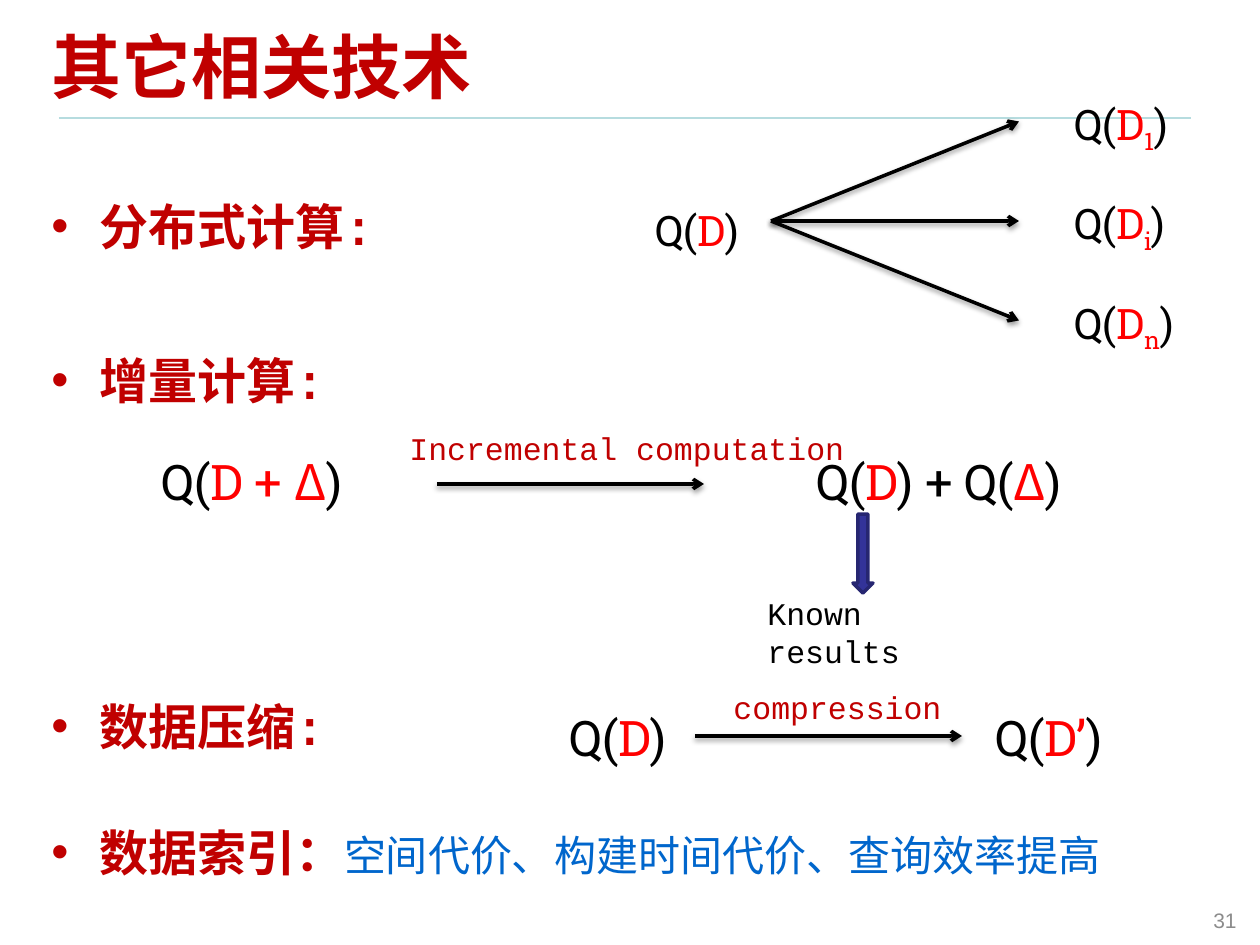
from lxml import etree
from pptx import Presentation
from pptx.dml.color import RGBColor
from pptx.enum.shapes import MSO_CONNECTOR, MSO_SHAPE
from pptx.enum.text import MSO_ANCHOR, MSO_AUTO_SIZE, PP_ALIGN
from pptx.oxml.ns import qn
from pptx.util import Pt

PX = 914400 / 126
STRAIGHT = MSO_CONNECTOR.STRAIGHT
DOWN_ARROW = MSO_SHAPE.DOWN_ARROW
TOP, MIDDLE = MSO_ANCHOR.TOP, MSO_ANCHOR.MIDDLE
LEFT, CENTER, RIGHT = PP_ALIGN.LEFT, PP_ALIGN.CENTER, PP_ALIGN.RIGHT
GROW, FIXED = MSO_AUTO_SIZE.SHAPE_TO_FIT_TEXT, MSO_AUTO_SIZE.NONE

BLACK = RGBColor(0x00, 0x00, 0x00)
RED = RGBColor(0xFF, 0x00, 0x00)
DARK_RED = RGBColor(0xC0, 0x00, 0x00)
BLUE = RGBColor(0x00, 0x66, 0xCC)
GRAY = RGBColor(0x8C, 0x8C, 0x8C)
TEAL = RGBColor(0xB6, 0xDC, 0xDF)
INDIGO = RGBColor(0x33, 0x33, 0x99)
DARK_INDIGO = RGBColor(0x26, 0x26, 0x71)
MONO, SLAB, CJK, SANS = "Courier New", "Roboto Slab", "Noto Sans CJK SC", "Arial"

# Content: boxes are (left, top, width, height) in px
TITLE = ("其它相关技术", (39, 10, 1152, 110))
PAGE_NUMBER = ("31", (955, 895, 294, 50))
BULLET_LEFT, BULLET_WIDTH, BULLET_INDENT = 39, 1172, 48
BULLETS = [  # top, height, heading, explanation
    (190, 116, "分布式计算:", ""),
    (344, 79, "增量计算:", ""),
    (690, 116, "数据压缩:", ""),
    (816, 118, "数据索引：", "空间代价、构建时间代价、查询效率提高"),
]
# Formulas: *...* marks red data, _ starts a subscript inside it
FORMULAS = [
    ("Q(*D + Δ*)", (149, 445, 228, 72)),
    ("Q(*D*) + Q(*Δ*)", (804, 445, 407, 72)),
    ("Q(*D*)", (557, 701, 149, 72)),
    ("Q(*D’*)", (983, 701, 179, 72)),
]
QUERY = ("Q(*D*)", (643, 198, 122, 63))
PARTS = ["1", "i", "n"]
PART_LEFT, PART_TOP, PART_STEP = 1062, 92, 99.5
FAN_X, FAN_Y, FAN_WIDTH = 771, 221, 248
LABELS = [
    ("Incremental computation", (397, 423, 567, 50), DARK_RED, LEFT),
    ("compression", (699, 682, 277, 50), DARK_RED, CENTER),
    ("Known results", (755, 588, 238, 50), BLACK, LEFT),
]
STEP_ARROWS = [(437, 484), (695, 736)]
STEP_LENGTH = 267
RESULT_ARROW = (853, 514, 20, 79)

prs = Presentation()
prs.slide_width, prs.slide_height = round(1260 * PX), round(945 * PX)
slide = prs.slides.add_slide(prs.slide_layouts[6])


def emu(lengths):
    return [round(length * PX) for length in lengths]


def add_text(box, runs, anchor=TOP, align=LEFT, wrap=True, grow=False, bullet=False):
    """Each run is (text, font, size, colour, bold, subscript)."""
    frame = slide.shapes.add_textbox(*emu(box)).text_frame
    frame.word_wrap = wrap
    frame.auto_size = GROW if grow else FIXED
    frame.vertical_anchor = anchor
    paragraph = frame.paragraphs[0]
    paragraph.alignment = align
    if bullet:
        props = paragraph._p.get_or_add_pPr()
        indent = round(BULLET_INDENT * PX)
        props.set("marL", str(indent))
        props.set("indent", str(-indent))
        etree.SubElement(props, qn("a:buFont"), typeface=SANS)
        etree.SubElement(props, qn("a:buChar"), char="•")
    for text, font, size, colour, bold, subscript in runs:
        run = paragraph.add_run()
        run.text = text
        run.font.name, run.font.size, run.font.bold = font, Pt(size), bold
        run.font.color.rgb = colour
        props = run._r.get_or_add_rPr()
        etree.SubElement(props, qn("a:ea"), typeface=CJK)
        if subscript:
            props.set("baseline", "-25000")


def add_formula(formula, box, size, wrap=True):
    runs = []
    for i, piece in enumerate(formula.split("*")):
        colour = RED if i % 2 else BLACK
        base, _, subscript = piece.partition("_")
        letters, delta, _ = base.partition("Δ")
        for text, font, lowered in ((letters, SLAB, False), (delta, CJK, False),
                                    (subscript, SLAB, True)):
            if text:
                runs.append((text, font, size, colour, False, lowered))
    add_text(box, runs, wrap=wrap, grow=True)


def add_line(x1, y1, x2, y2, colour, width):
    line = slide.shapes.add_connector(STRAIGHT, *emu((x1, y1, x2, y2)))
    line.line.color.rgb, line.line.width = colour, Pt(width)
    effects = etree.SubElement(line._element.spPr, qn("a:effectLst"))
    return line, effects


def add_arrow(x1, y1, x2, y2):
    arrow, effects = add_line(x1, y1, x2, y2, BLACK, 2)
    etree.SubElement(arrow.line._get_or_add_ln(), qn("a:tailEnd"), type="arrow")
    shadow = etree.SubElement(effects, qn("a:outerShdw"), blurRad=str(Pt(3.1)),
                              dist=str(Pt(1.6)), dir="5400000", rotWithShape="0")
    tint = etree.SubElement(shadow, qn("a:srgbClr"), val=str(BLACK))
    etree.SubElement(tint, qn("a:alpha"), val="38000")


# Title, rule and page number
add_line(59, 118, 1191, 118, TEAL, 0.75)
add_text(TITLE[1], [(TITLE[0], MONO, 40, DARK_RED, True, False)], anchor=MIDDLE)
add_text(PAGE_NUMBER[1], [(PAGE_NUMBER[0], SANS, 12, GRAY, False, False)],
         anchor=MIDDLE, align=RIGHT)

# Bulleted techniques
for top, height, heading, explanation in BULLETS:
    runs = [(heading, MONO, 28, DARK_RED, True, False)]
    if explanation:
        runs.append((explanation, MONO, 24, BLUE, False, False))
    add_text((BULLET_LEFT, top, BULLET_WIDTH, height), runs, bullet=True)

# Distributed computing: one query fans out to the parts
add_formula(*QUERY, 24, wrap=False)
for i, part in enumerate(PARTS):
    offset = i * PART_STEP
    add_formula(f"Q(*D_{part}*)", (PART_LEFT, PART_TOP + offset, 134, 63), 24, wrap=False)
    add_arrow(FAN_X, FAN_Y, FAN_X + FAN_WIDTH, FAN_Y - PART_STEP + offset)

# Incremental computing and compression
for x, y in STEP_ARROWS:
    add_arrow(x, y, x + STEP_LENGTH, y)
for formula, box in FORMULAS:
    add_formula(formula, box, 28)
for label, box, colour, align in LABELS:
    add_text(box, [(label, MONO, 18, colour, False, False)], align=align, grow=True)

# Arrow down to the known results
result_arrow = slide.shapes.add_shape(DOWN_ARROW, *emu(RESULT_ARROW))
result_arrow.shadow.inherit = False
result_arrow.fill.solid()
result_arrow.fill.fore_color.rgb = INDIGO
result_arrow.line.color.rgb, result_arrow.line.width = DARK_INDIGO, Pt(2)

prs.save("out.pptx")
